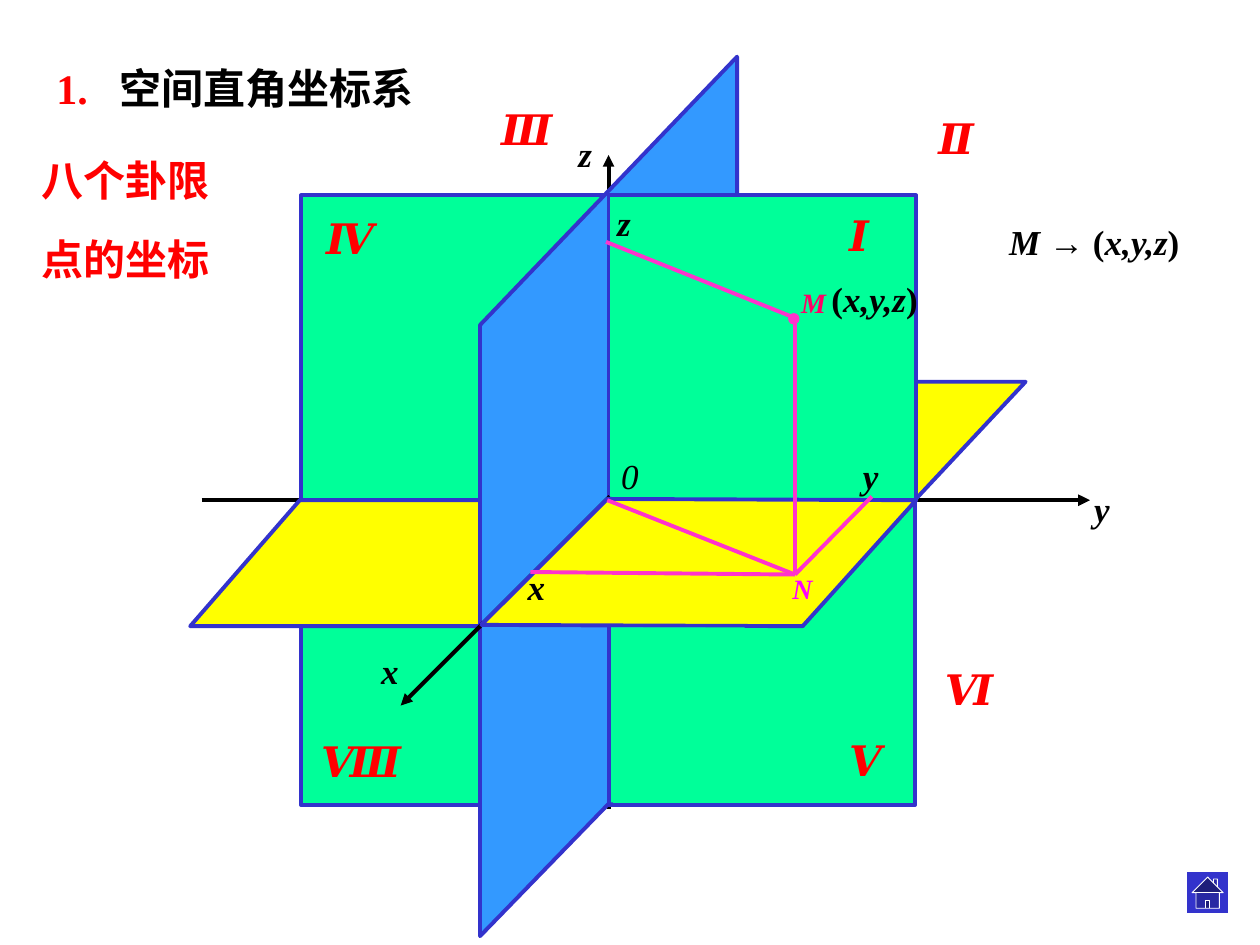
"""Draw the eight octants of a rectangular coordinate system in space."""
from dataclasses import dataclass
from typing import Optional

from lxml import etree
from pptx import Presentation
from pptx.dml.color import RGBColor
from pptx.enum import shapes, text
from pptx.oxml import ns
from pptx.util import Emu, Inches, Pt

COLS, ROWS = 100, 75
CELL = Inches(10) // COLS
FONT = "Times New Roman"
BLACK = RGBColor(0, 0, 0)
WHITE = RGBColor(255, 255, 255)
RED = RGBColor(255, 0, 0)
ROSE = RGBColor(255, 0, 102)
PINK = RGBColor(255, 51, 204)
VIOLET = RGBColor(255, 0, 255)
GREEN = RGBColor(0, 255, 153)
YELLOW = RGBColor(255, 255, 0)
BLUE = RGBColor(51, 153, 255)
EDGE = RGBColor(51, 51, 204)
KIND = shapes.MSO_SHAPE
MID, TOP = text.MSO_ANCHOR.MIDDLE, text.MSO_ANCHOR.TOP


@dataclass
class Box:
    """A preset shape placed in grid columns and rows."""
    col: float
    row: float
    wide: float
    high: float
    fill: RGBColor = GREEN
    edge: RGBColor = EDGE
    kind: KIND = KIND.RECTANGLE
    width: float = 2.25


@dataclass
class Face:
    """A polygon with grid points as corners."""
    fill: RGBColor
    points: list[tuple[float, float]]
    edge: Optional[RGBColor] = EDGE


@dataclass
class Line:
    """A straight line between two grid points."""
    start: tuple[float, float]
    end: tuple[float, float]
    color: RGBColor = PINK
    arrow: bool = False


@dataclass
class Label:
    """A text in the grid, with italics between asterisks."""
    words: str
    col: float
    row: float
    wide: float
    high: float = 4.3
    size: int = 20
    color: RGBColor = BLACK
    bold: bool = True
    mid: bool = False
    wrap: bool = False


def grid(*cells: float) -> list[Emu]:
    """Turn grid counts into lengths."""
    return [Emu(round(n * CELL)) for n in cells]


def paint(shape, fill: RGBColor, edge: Optional[RGBColor], width: float = 2.25) -> None:
    """Set the fill and outline of a shape."""
    shape.shadow.inherit = False
    shape.fill.solid()
    shape.fill.fore_color.rgb = fill
    if edge is None:
        shape.line.fill.background()
    else:
        shape.line.color.rgb = edge
        shape.line.width = Pt(width)


def draw_box(slide, box: Box) -> None:
    """Draw a preset shape."""
    place = grid(box.col, box.row, box.wide, box.high)
    paint(slide.shapes.add_shape(box.kind, *place), box.fill, box.edge, box.width)


def draw_face(slide, face: Face) -> None:
    """Draw a closed polygon."""
    first, *rest = [grid(*point) for point in face.points]
    pen = slide.shapes.build_freeform(*first)
    pen.add_line_segments(rest, close=True)
    paint(pen.convert_to_shape(), face.fill, face.edge)


def draw_line(slide, line: Line) -> None:
    """Draw a line, with an arrowhead for an axis."""
    ends = grid(*line.start, *line.end)
    wire = slide.shapes.add_connector(shapes.MSO_CONNECTOR.STRAIGHT, *ends)
    wire.line.color.rgb = line.color
    wire.line.width = Pt(2.25)
    if line.arrow:
        etree.SubElement(wire.line._get_or_add_ln(), ns.qn("a:tailEnd"), type="triangle")
    etree.SubElement(wire._element.spPr, ns.qn("a:effectLst"))


def add_run(para, words: str, label: Label, color: RGBColor, slant: bool = False) -> None:
    """Add a run in the style of its label."""
    run = para.add_run()
    run.text = words
    font = run.font
    font.name, font.size = FONT, Pt(label.size)
    font.bold, font.italic = label.bold, slant
    font.color.rgb = color


def draw_label(slide, label: Label):
    """Draw a text and return its paragraph."""
    place = grid(label.col, label.row, label.wide, label.high)
    frame = slide.shapes.add_textbox(*place).text_frame
    frame.word_wrap = label.wrap
    frame.vertical_anchor = MID if label.mid else TOP
    para = frame.paragraphs[0]
    para.alignment = text.PP_ALIGN.CENTER if label.mid else text.PP_ALIGN.LEFT
    for turn, words in enumerate(label.words.split("*")):
        if words:
            add_run(para, words, label, label.color, turn % 2 == 1)
    return para


DRAW = {Box: draw_box, Face: draw_face, Line: draw_line, Label: draw_label}
PLANES = [
    Line((16, 39.7), (86.5, 39.7), BLACK, True),
    Line((48.3, 64.2), (48.3, 12.3), BLACK, True),
    Box(23.9, 39.7, 24.5, 24.2),
    Box(48.4, 39.7, 24.2, 24.2),
    Box(23.9, 15.5, 24.4, 24.2),
    Face(YELLOW, [(72.6, 30.3), (72.6, 39.7), (81.4, 30.3)]),
    Face(YELLOW, [(15.1, 49.7), (38.7, 49.7), (48.1, 39.7), (23.8, 39.7)]),
    Face(BLUE, [(58.5, 4.5), (38.1, 25.8), (38.1, 74.3), (58.5, 53.3)]),
    Box(48.3, 15.5, 24.4, 24.2),
    Line((48.4, 39.4), (31.8, 56), BLACK, True),
    Face(YELLOW, [(38.2, 49.6), (63.7, 49.7), (72.7, 39.7), (48.2, 39.6)]),
    Face(GREEN, [(48.3, 49.8), (48.3, 63.7), (49.2, 63.6), (59.1, 54), (59.1, 49.8)], None),
    Line((48.3, 49.8), (48.3, 63.9), EDGE),
]
FOOT = (63.1, 45.6)
POINT = [
    Box(62.6, 24.9, 0.8, 0.8, PINK, PINK, KIND.OVAL, 0.75),
    Line((63.1, 25.5), FOOT),
    Line(FOOT, (42.1, 45.4)),
    Line(FOOT, (69.2, 39.4)),
    Line((48.2, 39.7), FOOT),
    Line((48.1, 19.2), (63, 25.2)),
]
OCTANTS = [
    Label(f"*{sign}*", col, row, wide, 5, 24, RED, wrap=True)
    for sign, col, row, wide in [
        ("Ⅱ", 73.5, 8.4, 5.4), ("Ⅲ", 38.8, 7.7, 6), ("Ⅰ", 66.4, 16.1, 5.4),
        ("Ⅳ", 24.9, 16.4, 6.5), ("Ⅴ", 66.4, 57.8, 5.4), ("Ⅵ", 74, 52.2, 6.5),
        ("Ⅷ", 24.5, 57.9, 7.1)]
]
LABELS = [
    Label("八个卦限", 2.2, 11.8, 15.5, 5, 24, RED, mid=True),
    Label("点的坐标", 2.2, 18, 15.5, 5, 24, RED, mid=True),
    Label("*z*", 41.7, 10, 9.5, mid=True, wrap=True),
    Label("*y*", 84.7, 38.2, 5.5, mid=True, wrap=True),
    Label("*x*", 27.1, 51.1, 7.7, mid=True, wrap=True),
    Label("*0*", 48.3, 35.6, 3.4, bold=False, mid=True),
    Label("*x*", 40.9, 44.4, 3.4),
    Label("*y*", 67.5, 35.6, 3.2),
    Label("*z*", 48, 15.5, 3.1),
    Label("*M*", 62.6, 22.2, 4, 3.7, 16, ROSE),
    Label("*N*", 61.9, 44.9, 3.6, 3.7, 16, VIOLET),
    Label("(*x,y,z*)", 65, 21.5, 8.9),
    Label("*M* → (*x,y,z*)", 79.1, 17, 15.5, mid=True),
]
HOME = Box(94.2, 69.2, 3.3, 3.3, EDGE, WHITE, KIND.ACTION_BUTTON_HOME, 0.5)
TITLE = Label("1.\t", 3.5, 4.5, 31.3, 4.3, 24, RED, wrap=True)


def main() -> None:
    """Build the slide and save it."""
    deck = Presentation()
    deck.slide_width, deck.slide_height = grid(COLS, ROWS)
    slide = deck.slides.add_slide(deck.slide_layouts[6])
    for item in PLANES + OCTANTS + POINT + LABELS + [HOME]:
        DRAW[type(item)](slide, item)
    para = draw_label(slide, TITLE)
    add_run(para, "空间直角坐标系", TITLE, BLACK)
    props = para._p.get_or_add_pPr()
    props.set("marL", str(5 * CELL))
    props.set("indent", str(-5 * CELL))
    deck.save("out.pptx")


if __name__ == "__main__":
    main()
